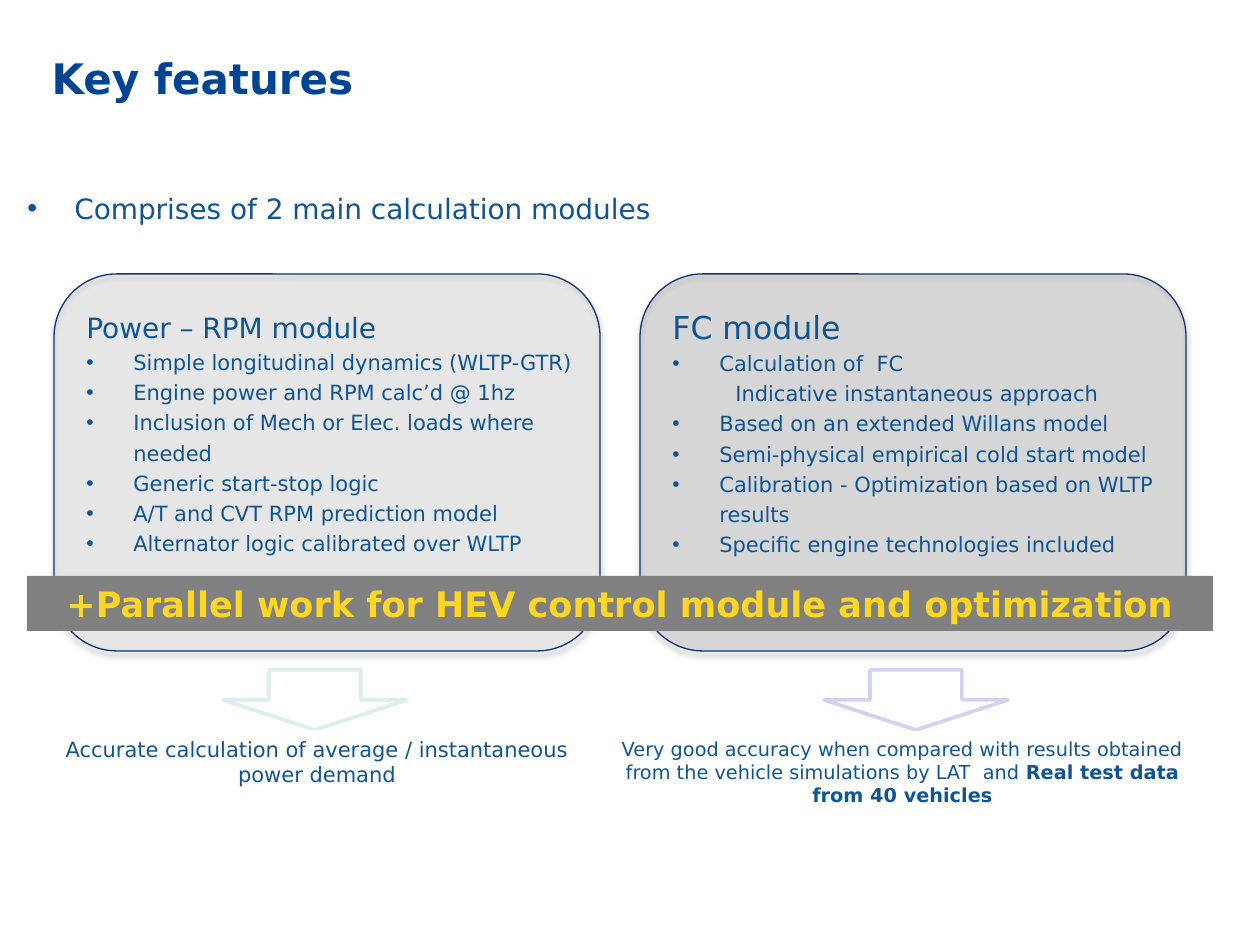
from dataclasses import dataclass

from lxml.etree import SubElement
from pptx import Presentation
from pptx.dml.color import RGBColor
from pptx.enum.shapes import MSO_SHAPE as Shape
from pptx.enum.text import MSO_ANCHOR as Anchor, PP_ALIGN as Align
from pptx.oxml.ns import qn
from pptx.util import Pt


@dataclass(frozen=True)
class Theme:
    font: str = "DejaVu Sans"
    title: str = "004494"
    text: str = "0F5494"
    outline: str = "133176"
    white: str = "FFFFFF"
    band: str = "808080"
    highlight: str = "FFD624"
    title_size: int = 24
    band_size: int = 20
    lead_size: int = 16
    item_size: int = 12


THEME = Theme()
PX = 914400 / 126
INDENT, SUB_INDENT = 47, 63

# Content
TITLE = "Key features"
LEAD = "Comprises of 2 main calculation modules"
BAND = "+Parallel work for HEV control module and optimization"
# Items are (text, bulleted); conclusions are (text, bold)
MODULES = [
    {
        "heading": "Power – RPM module", "heading_size": 16,
        "items": [
            ("Simple longitudinal dynamics (WLTP-GTR)", True),
            ("Engine power and RPM calc’d @ 1hz", True),
            ("Inclusion of Mech or Elec. loads where needed", True),
            ("Generic start-stop logic", True),
            ("A/T and CVT RPM prediction model", True),
            ("Alternator logic calibrated over WLTP", True),
        ],
        "conclusion": [("Accurate calculation of average / instantaneous "
                        "power demand", False)],
        "conclusion_size": 12,
        "panel_fill": "BFBFBF", "arrow_line": "DAEDEF",
        "panel": (54, 274, 546, 377), "body": (74, 298, 526, 297),
        "arrow": (223, 670, 184, 60), "caption": (44, 730, 546, 63),
    },
    {
        "heading": "FC module", "heading_size": 18,
        "items": [
            ("Calculation of  FC", True),
            ("Indicative instantaneous approach", False),
            ("Based on an extended Willans model", True),
            ("Semi-physical empirical cold start model", True),
            ("Calibration - Optimization based on WLTP results", True),
            ("Specific engine technologies included", True),
        ],
        "conclusion": [("Very good accuracy when compared with results obtained "
                        "from the vehicle simulations by LAT  and ", False),
                       ("Real test data from 40 vehicles", True)],
        "conclusion_size": 11,
        "panel_fill": "666666", "arrow_line": "D1D1F0",
        "panel": (640, 274, 546, 377), "body": (660, 294, 526, 272),
        "arrow": (824, 670, 184, 60), "caption": (600, 731, 605, 83),
    },
]


def emu(*lengths):
    return [round(length * PX) for length in lengths]


def add_run(paragraph, text, size, color=THEME.text, bold=False):
    run = paragraph.add_run()
    run.text = text
    for key, value in {"name": THEME.font, "size": Pt(size), "bold": bold}.items():
        setattr(run.font, key, value)
    run.font.color.rgb = RGBColor.from_string(color)


def indent(paragraph, left, bulleted):
    props = paragraph._p.get_or_add_pPr()
    margin = emu(left)[0]
    props.set("marL", str(margin))
    props.set("indent", str(-margin if bulleted else 0))
    if bulleted:
        SubElement(props, qn("a:buFont"), typeface="Arial")
        SubElement(props, qn("a:buChar"), char="•")


def add_box(slide, kind, place, fill, line=None, width=1):
    box = slide.shapes.add_shape(kind, *emu(*place))
    box.shadow.inherit = False
    box.fill.solid()
    box.fill.fore_color.rgb = RGBColor.from_string(fill)
    if line:
        box.line.color.rgb = RGBColor.from_string(line)
        box.line.width = Pt(width)
    else:
        box.line.fill.background()
    return box


def prepare_text(shape):
    frame = shape.text_frame
    frame.word_wrap = True
    frame.vertical_anchor = Anchor.TOP
    return frame


def add_text(slide, place):
    return prepare_text(slide.shapes.add_textbox(*emu(*place)))


def add_panel(slide, place, fill):
    panel = add_box(slide, Shape.ROUNDED_RECTANGLE, place, fill, THEME.outline, 0.75)
    props = panel._element.spPr
    tint = props.find(qn("a:solidFill"))[0]
    SubElement(tint, qn("a:alpha"), val="18000")
    shadow = SubElement(props.find(qn("a:effectLst")), qn("a:outerShdw"),
                        blurRad=str(Pt(3.1)), dist=str(Pt(1.8)),
                        dir="5400000", rotWithShape="0")
    shade = SubElement(shadow, qn("a:srgbClr"), val="000000")
    SubElement(shade, qn("a:alpha"), val="35000")


def add_module(slide, module):
    add_panel(slide, module["panel"], module["panel_fill"])

    # Heading and its list
    body = add_text(slide, module["body"])
    heading = body.paragraphs[0]
    heading.line_spacing = 1.2
    add_run(heading, module["heading"], module["heading_size"])
    for text, bulleted in module["items"]:
        item = body.add_paragraph()
        item.line_spacing = 1.2
        indent(item, INDENT if bulleted else SUB_INDENT, bulleted)
        add_run(item, text, THEME.item_size)

    # Arrow down to the conclusion
    add_box(slide, Shape.DOWN_ARROW, module["arrow"], THEME.white,
            module["arrow_line"], 2)
    caption = prepare_text(add_box(slide, Shape.RECTANGLE, module["caption"],
                                   THEME.white))
    conclusion = caption.paragraphs[0]
    conclusion.alignment = Align.CENTER
    for text, bold in module["conclusion"]:
        add_run(conclusion, text, module["conclusion_size"], bold=bold)


def main():
    deck = Presentation()
    deck.slide_width, deck.slide_height = emu(1260, 945)
    slide = deck.slides.add_slide(deck.slide_layouts[5])

    # Title
    title = slide.shapes.title
    title.left, title.top, title.width, title.height = emu(39, 45, 1134, 129)
    frame = prepare_text(title)
    frame.margin_top = emu(7)[0]
    frame.paragraphs[0].alignment = Align.LEFT
    add_run(frame.paragraphs[0], TITLE, THEME.title_size, THEME.title, True)

    # Lead bullet
    lead = add_text(slide, (15, 185, 1211, 88)).paragraphs[0]
    indent(lead, INDENT, True)
    add_run(lead, LEAD, THEME.lead_size)

    for module in MODULES:
        add_module(slide, module)

    # Band across both panels
    band = prepare_text(add_box(slide, Shape.RECTANGLE, (27, 576, 1186, 55),
                                THEME.band))
    band.paragraphs[0].alignment = Align.CENTER
    add_run(band.paragraphs[0], BAND, THEME.band_size, THEME.highlight, True)

    deck.save("out.pptx")


if __name__ == "__main__":
    main()
